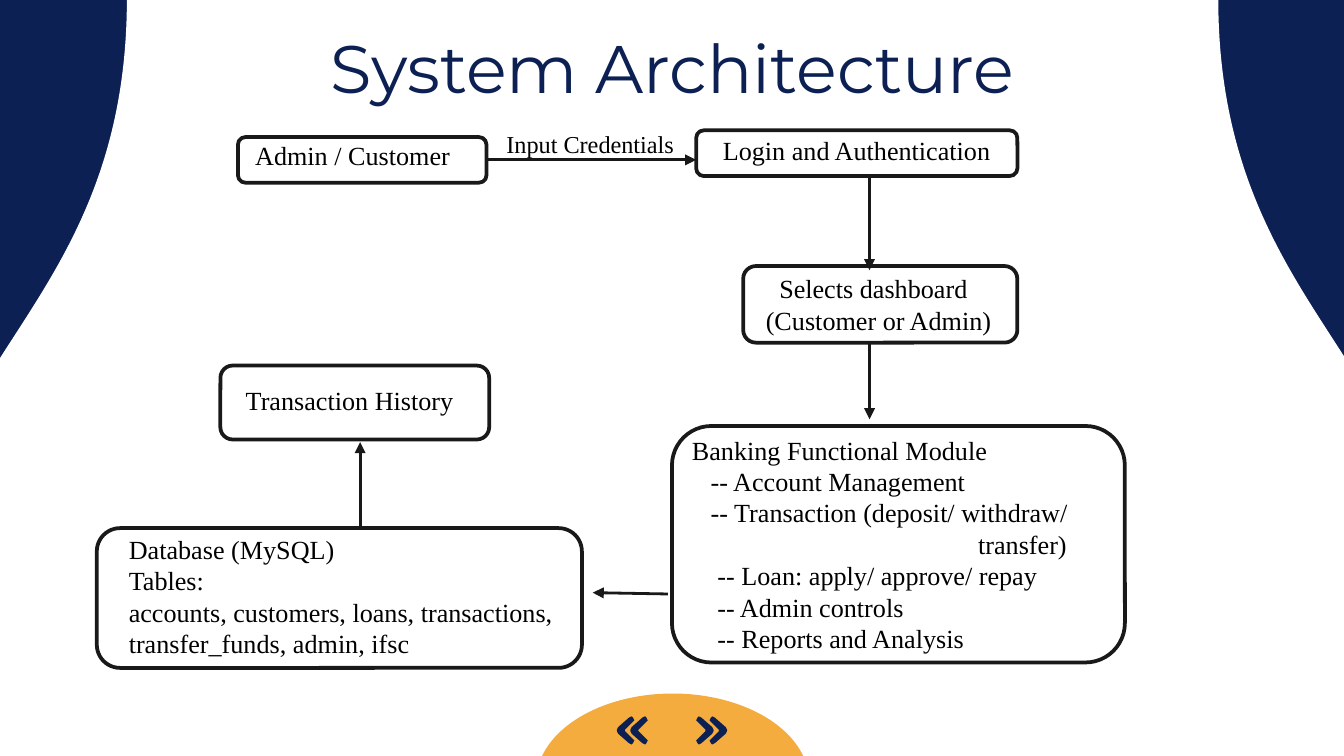
from lxml.etree import SubElement
from pptx import Presentation
from pptx.dml.color import RGBColor
from pptx.enum.shapes import MSO_CONNECTOR, MSO_SHAPE
from pptx.enum.text import MSO_ANCHOR, MSO_AUTO_SIZE, PP_ALIGN
from pptx.oxml.ns import qn
from pptx.util import Inches, Pt

NAVY = RGBColor(0x0C, 0x20, 0x54)
WHITE = RGBColor(0xFF, 0xFF, 0xFF)
ORANGE = RGBColor(0xF3, 0xAC, 0x3D)
OUTLINE = RGBColor(0x19, 0x19, 0x19)
ARROW = RGBColor(0x18, 0x18, 0x18)
BLACK = RGBColor(0, 0, 0)


class DiagramSlide:
    title_font = {"name": "Montserrat", "size": Pt(36), "bold": False}
    label_font = {"name": "Times New Roman", "size": Pt(14)}
    title_frame = {
        "auto_size": MSO_AUTO_SIZE.NONE,
        "vertical_anchor": MSO_ANCHOR.MIDDLE,
        "word_wrap": True,
        **{f"margin_{side}": Inches(0.1) for side in ("left", "top", "right", "bottom")},
    }
    label_frame = {"auto_size": MSO_AUTO_SIZE.SHAPE_TO_FIT_TEXT, "word_wrap": True}
    chevron_half = [(0.13, 0.1), (0.12, 0.08), (0.04, 0.01), (0.02, 0),
                    (0.01, 0.01), (0, 0.03), (0.01, 0.04), (0.07, 0.1)]
    chevron_height = 0.21

    def __init__(self, presentation):
        self.slide = presentation.slides.add_slide(presentation.slide_layouts[5])
        self.shapes = self.slide.shapes
        fill = self.slide.background.fill
        fill.solid()
        fill.fore_color.rgb = NAVY

    def apply(self, target, values):
        for name, value in values.items():
            setattr(target, name, value)

    def paint(self, shape, fill=None, line=None):
        shape.shadow.inherit = False
        if fill is None:
            shape.fill.background()
        else:
            shape.fill.solid()
            shape.fill.fore_color.rgb = fill
        if line is None:
            shape.line.fill.background()
        else:
            shape.line.color.rgb = line
            shape.line.width = Pt(2)

    def title(self, text, *box):
        shape = self.shapes.title
        self.apply(shape, dict(zip(("left", "top", "width", "height"), map(Inches, box))))
        self.apply(shape.text_frame, self.title_frame)
        paragraph = shape.text_frame.paragraphs[0]
        paragraph.alignment = PP_ALIGN.CENTER
        run = paragraph.add_run()
        run.text = text
        self.apply(run.font, self.title_font)
        run.font.color.rgb = NAVY

    def preset(self, kind, box, fill, rotation, flip=False):
        shape = self.shapes.add_shape(kind, *map(Inches, box))
        self.paint(shape, fill)
        shape.rotation = rotation
        if flip:
            shape.element.spPr.find(qn("a:xfrm")).set("flipH", "1")
        return shape

    def box(self, *box, fill=None):
        shape = self.shapes.add_shape(MSO_SHAPE.ROUNDED_RECTANGLE, *map(Inches, box))
        self.paint(shape, fill, OUTLINE)
        return shape

    def label(self, box, lines, size=14):
        shape = self.shapes.add_textbox(*map(Inches, box))
        frame = shape.text_frame
        self.apply(frame, self.label_frame)
        for index, (text, first, rest) in enumerate(lines):
            paragraph = frame.add_paragraph() if index else frame.paragraphs[0]
            properties = paragraph._p.get_or_add_pPr()
            properties.set("marL", str(Inches(rest)))
            properties.set("indent", str(Inches(first) - Inches(rest)))
            run = paragraph.add_run()
            run.text = text
            self.apply(run.font, {**self.label_font, "size": Pt(size)})
            run.font.color.rgb = BLACK

    def arrow(self, start, end, color=ARROW, source=None):
        connector = self.shapes.add_connector(
            MSO_CONNECTOR.STRAIGHT, *map(Inches, (*start, *end)))
        if source is not None:
            connector.begin_connect(source, 3)
        connector.line.color.rgb = color
        connector.line.width = Pt(1.5)
        SubElement(connector.line._get_or_add_ln(), qn("a:tailEnd"), type="triangle")
        SubElement(connector.element.spPr, qn("a:effectLst"))

    def chevron(self, back, top, direction):
        lower = [(x, self.chevron_height - y) for x, y in reversed(self.chevron_half)]
        points = [(Inches(back + direction * x), Inches(top + y))
                  for x, y in self.chevron_half + lower]
        builder = self.shapes.build_freeform(*points[0])
        builder.add_line_segments(points[1:], close=True)
        self.paint(builder.convert_to_shape(), NAVY)


def plain(*texts):
    return [(text, 0, 0) for text in texts]


def main():
    presentation = Presentation()
    presentation.slide_width = Inches(10)
    presentation.slide_height = Inches(10) * 9 // 16
    diagram = DiagramSlide(presentation)

    for left, rotation, flip in ((3.86, 270, False), (0.51, 90, True)):
        panel = diagram.preset(MSO_SHAPE.FLOWCHART_DOCUMENT,
                               (left, -1.14, 5.64, 7.9), WHITE, rotation, flip)
        diagram.shapes.title.element.addprevious(panel.element)
    diagram.title("System Architecture", 0.79, 0.23, 8.43, 0.53)

    dome = diagram.preset(MSO_SHAPE.PIE, (3.99, 5.16, 2.03, 1.31), ORANGE, 180, True)
    dome.adjustments[0] = 0
    dome.adjustments[1] = 108.31
    for direction in (1, -1):
        for distance in (0.18, 0.28):
            diagram.chevron(5 + direction * distance, 5.33, direction)

    diagram.box(5.18, 0.97, 2.39, 0.34)
    diagram.label((5.28, 0.95, 2.39, 0.34), plain("Login and Authentication"))
    customer = diagram.box(1.77, 1.02, 1.85, 0.34)
    diagram.label((1.8, 0.99, 1.72, 0.34), plain("Admin / Customer"))
    diagram.box(5.53, 1.98, 2.04, 0.57)
    diagram.label((5.6, 1.98, 2.33, 0.57),
                  [("Selects dashboard", 0.1, 0.1), ("(Customer or Admin)", 0, 0)])

    diagram.box(5, 3.17, 3.37, 1.76, fill=WHITE)
    diagram.label((5, 3.18, 3.36, 1.99), [
        ("Banking Functional Module", 0.05, 0.05),
        ("-- Account Management", 0.19, 0.19),
        ("-- Transaction (deposit/ withdraw/ transfer)", 0.19, 2.18),
        ("-- Loan: apply/ approve/ repay", 0.24, 0.24),
        ("-- Admin controls", 0.24, 0.24),
        ("-- Reports and Analysis", 0.24, 0.24),
    ])

    diagram.box(0.72, 3.93, 3.61, 1.04, fill=WHITE)
    diagram.label((0.86, 3.92, 3.65, 1.04), plain(
        "Database (MySQL)",
        "Tables:",
        "accounts, customers, loans, transactions, transfer_funds, admin, ifsc",
    ))
    diagram.box(1.64, 2.72, 2, 0.55, fill=WHITE)
    diagram.label((1.73, 2.81, 2.9, 0.34), plain("Transaction History"))
    diagram.label((3.67, 0.91, 2.54, 0.32), plain("Input Credentials"), size=13)

    diagram.arrow((3.62, 1.19), (5.18, 1.19), source=customer)
    diagram.arrow((6.47, 1.32), (6.47, 2.01))
    diagram.arrow((6.47, 2.56), (6.47, 3.12))
    diagram.arrow((4.97, 4.42), (4.41, 4.41), color=OUTLINE)
    diagram.arrow((2.68, 3.92), (2.68, 3.29))

    presentation.save("out.pptx")


if __name__ == "__main__":
    main()
